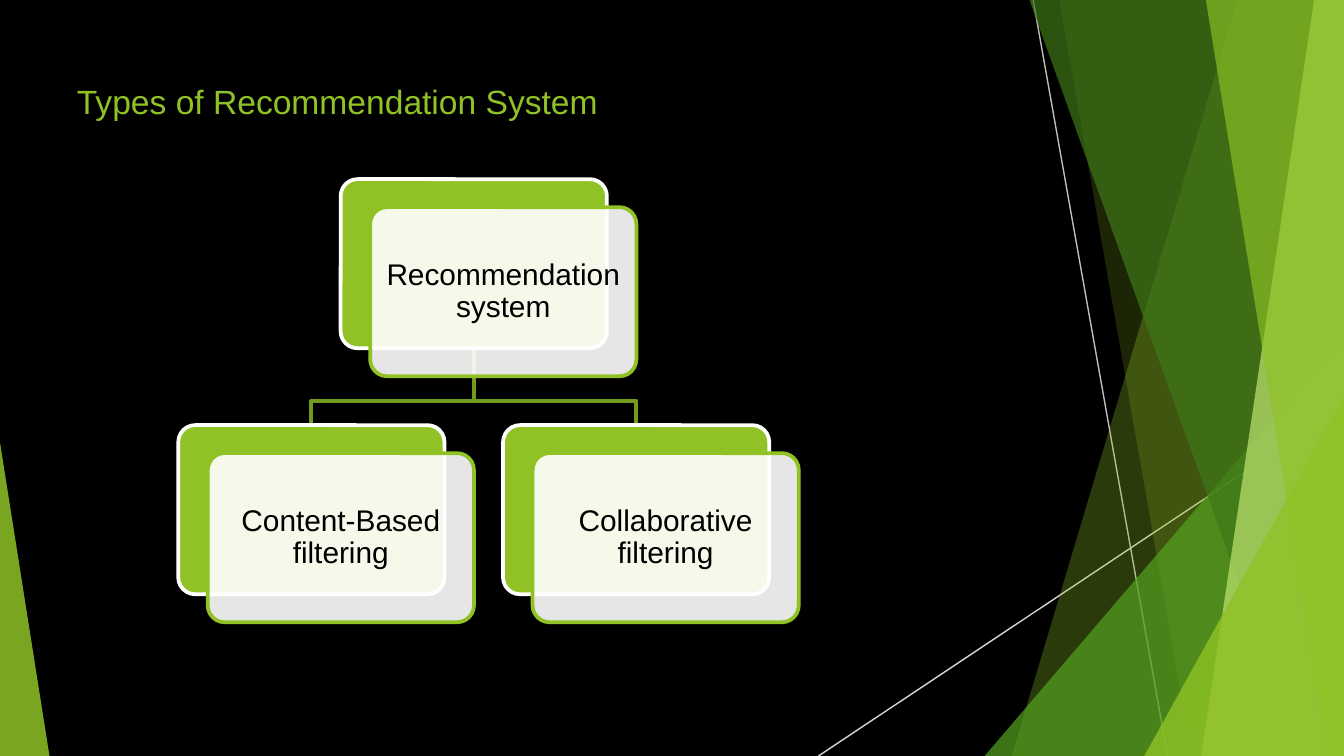
from pptx import Presentation
from pptx.dml.color import RGBColor
from pptx.enum import shapes, text
from pptx.oxml import ns, xmlchemy
from pptx.util import Pt

COLORS = {
    "black": "000000", "white": "FFFFFF", "lime": "90C226",
    "olive": "739B1E", "leaf": "54A021", "forest": "3F7818",
    "pale": "BFE471", "gray": "BFBFBF", "silver": "D8D8D8",
}
FONT = "Arial"
WIDTH, HEIGHT = 720, 405


def rgb(name):
    return RGBColor.from_string(COLORS[name])


def paint(shape, fill=None, alpha=100, line=None, weight=2):
    """Set fill, opacity in percent and outline; None means none."""
    shape.shadow.inherit = False
    if fill:
        shape.fill.solid()
        shape.fill.fore_color.rgb = rgb(fill)
        if alpha < 100:
            color = shape._element.spPr.find(ns.qn("a:solidFill"))[0]
            opacity = xmlchemy.OxmlElement("a:alpha")
            opacity.set("val", str(alpha * 1000))
            color.append(opacity)
    else:
        shape.fill.background()
    if line:
        shape.line.color.rgb = rgb(line)
        shape.line.width = Pt(weight)
    else:
        shape.line.fill.background()


def write(frame, words, size=16, color="black", align=text.PP_ALIGN.CENTER,
          anchor=text.MSO_ANCHOR.MIDDLE, insets=(5, 5), spacing=1.0):
    frame.word_wrap = True
    frame.auto_size = text.MSO_AUTO_SIZE.NONE
    frame.vertical_anchor = anchor
    frame.margin_left = frame.margin_right = Pt(insets[0])
    frame.margin_top = frame.margin_bottom = Pt(insets[1])
    frame.text = words
    paragraph = frame.paragraphs[0]
    paragraph.alignment = align
    paragraph.line_spacing = spacing
    paragraph.space_before = Pt(0)
    font = paragraph.runs[0].font
    font.name, font.size, font.bold = FONT, Pt(size), False
    font.color.rgb = rgb(color)


def add_path(slide, points, close=True):
    points = [(Pt(x), Pt(y)) for x, y in points]
    builder = slide.shapes.build_freeform(*points[0])
    builder.add_line_segments(points[1:], close=close)
    return builder.convert_to_shape()


def add_preset(slide, kind, box, adjustment):
    shape = slide.shapes.add_shape(kind, *map(Pt, box))
    shape.adjustments[0] = adjustment
    return shape


def add_ray(slide, start, end, color):
    ray = slide.shapes.add_connector(
        shapes.MSO_CONNECTOR.STRAIGHT, *map(Pt, start + end))
    ray.line.color.rgb = rgb(color)
    ray.line.width = Pt(0.75)
    ray._element.spPr.append(xmlchemy.OxmlElement("a:effectLst"))


def add_facet(slide, box, top_x, bottom_x, color, alpha):
    """Band from a slanted left edge to the right edge of the box."""
    left, top, width, height = box
    right, bottom = left + width, top + height
    facet = add_path(slide, [(top_x, top), (right, top),
                             (right, bottom), (bottom_x, bottom)])
    paint(facet, color, alpha)


def add_corner(slide, box, apex, color, alpha):
    corner = add_preset(slide, shapes.MSO_SHAPE.ISOSCELES_TRIANGLE, box, apex)
    paint(corner, color, alpha)


def add_backdrop(slide, box):
    left, top, width, height = box
    right, bottom = left + width, top + height

    def right_corner(corner_width, corner_height, color, alpha):
        add_corner(slide, (right - corner_width, bottom - corner_height,
                           corner_width, corner_height), 1, color, alpha)

    # Thin rays
    add_ray(slide, (left + 553.5, top), (left + 625.5, bottom), "gray")
    add_ray(slide, (right, top + 217.5), (left + 438.5, bottom), "silver")
    # Overlapping facets, back to front
    add_facet(slide, box, left + 663, left + 542, "lime", 30)
    add_facet(slide, box, left + 567.5, left + 638.5, "lime", 20)
    right_corner(192.5, 225, "leaf", 72)
    add_facet(slide, box, left + 551.5, left + 697, "forest", 70)
    add_facet(slide, box, left + 704, left + 643.5, "pale", 70)
    add_facet(slide, box, left + 646, left + 711.5, "lime", 65)
    right_corner(107, 193, "lime", 80)
    # Wedge at the lower left
    add_corner(slide, (left, bottom - 168, 26.5, 168), 0, "lime", 85)


def add_title(slide, box, words):
    title = slide.shapes.title
    title.left, title.top, title.width, title.height = map(Pt, box)
    write(title.text_frame, words, size=18, color="lime",
          align=text.PP_ALIGN.LEFT, anchor=text.MSO_ANCHOR.TOP,
          insets=(7.2, 3.6))


def add_node(slide, box, words):
    """Green card with a translucent labelled card offset in front."""
    left, top, width, height = box
    rounded = shapes.MSO_SHAPE.ROUNDED_RECTANGLE
    back = add_preset(slide, rounded, box, 0.1)
    paint(back, "lime", line="white")
    front = add_preset(slide, rounded,
                       (left + 15.8, top + 15, width, height), 0.1)
    paint(front, "white", 90, line="lime")
    write(front.text_frame, words, spacing=0.9)


def add_hierarchy(slide, box, root, children):
    left, top, width, height = box
    card_width, card_height, offset_x, offset_y = 142.6, 90.6, 15.8, 15
    step = (width - offset_x - card_width) / (len(children) - 1)
    child_top = top + height - offset_y - card_height
    child_lefts = [left + i * step for i in range(len(children))]
    root_left = (child_lefts[0] + child_lefts[-1]) / 2
    root_x = root_left + card_width / 2
    root_bottom = top + card_height
    bend = child_top - 13
    # Branches lie behind the cards
    for child_left in reversed(child_lefts):
        child_x = child_left + card_width / 2
        branch = add_path(slide, [(root_x, root_bottom), (root_x, bend),
                                  (child_x, bend), (child_x, child_top)],
                          close=False)
        paint(branch, line="olive")
    # Cards
    add_node(slide, (root_left, top, card_width, card_height), root)
    for child_left, words in zip(child_lefts, children):
        add_node(slide, (child_left, child_top, card_width, card_height), words)


def main():
    deck = Presentation()
    deck.slide_width, deck.slide_height = Pt(WIDTH), Pt(HEIGHT)
    slide = deck.slides.add_slide(deck.slide_layouts.get_by_name("Title Only"))
    slide.background.fill.solid()
    slide.background.fill.fore_color.rgb = rgb("black")

    add_backdrop(slide, (0, 0, WIDTH, HEIGHT))
    add_hierarchy(slide, (95.5, 96, 332.4, 237.4), "Recommendation system",
                  ["Content-Based filtering", "Collaborative filtering"])
    add_title(slide, (34, 39.8, 303, 29), "Types of Recommendation System")
    deck.save("out.pptx")


if __name__ == "__main__":
    main()
